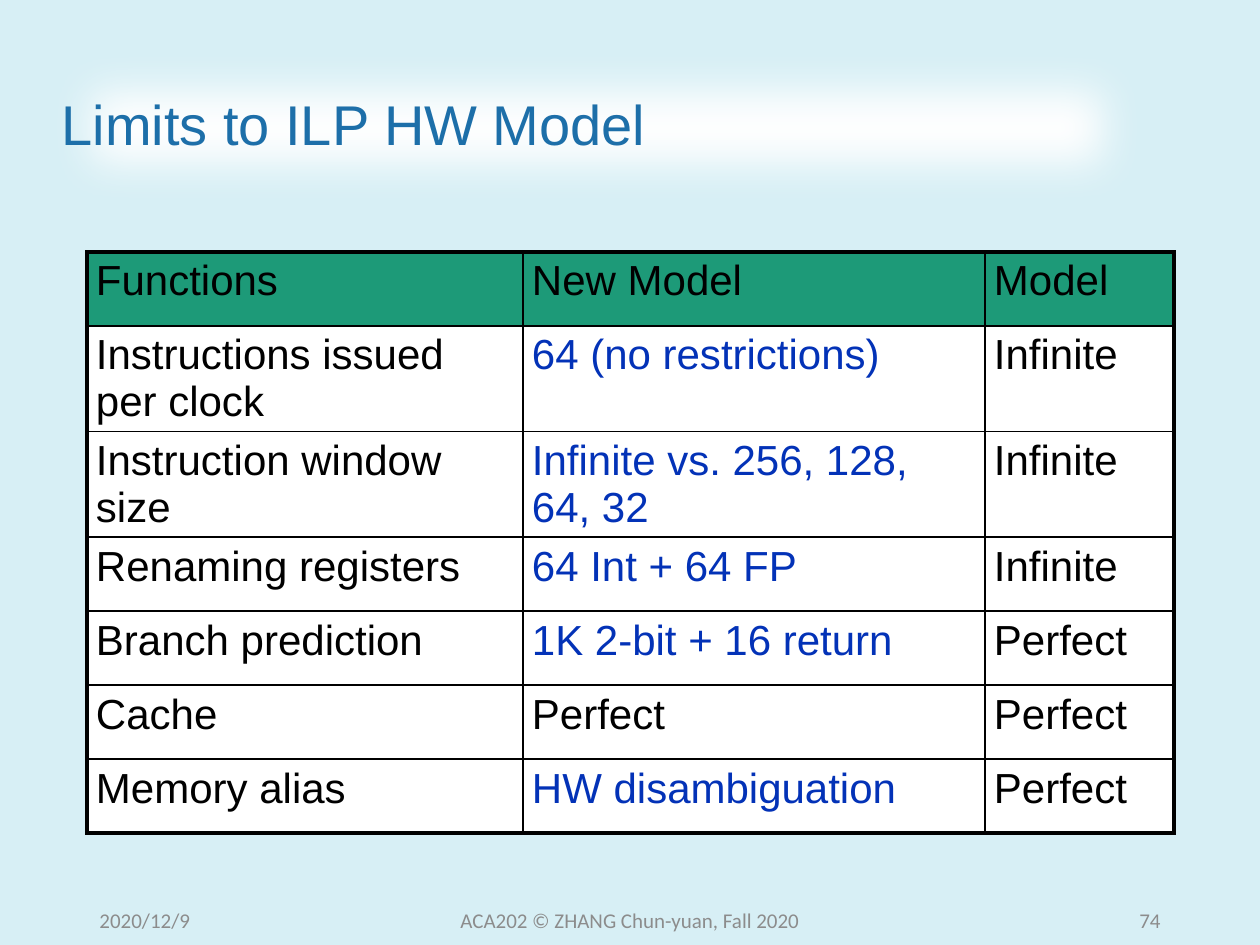
from typing import NamedTuple

from lxml import etree
from pptx import Presentation
from pptx.dml.color import RGBColor
from pptx.enum.text import MSO_ANCHOR, PP_ALIGN
from pptx.oxml.ns import qn
from pptx.util import Emu, Pt

LEFT, CENTER, RIGHT = PP_ALIGN.LEFT, PP_ALIGN.CENTER, PP_ALIGN.RIGHT
MIDDLE = MSO_ANCHOR.MIDDLE

EMU_PER_PX = 914400 / 126
BLACK, WHITE, BLUE, GREEN = "000000", "FFFFFF", "0332B7", "1D9A78"
TITLE_BLUE, GRAY, BACKGROUND = "1D6FA9", "8C8C8C", "D7EFF5"
THIN, THICK = 1, 2.25


class Footer(NamedTuple):
    text: str
    left: int
    width: int
    align: PP_ALIGN


class ModelRow(NamedTuple):
    function: str
    new_model: str
    model: str
    height: int = 74
    new_color: str = BLUE
    fill: str = WHITE


ROWS = [
    ModelRow("Functions", "New Model", "Model", new_color=BLACK, fill=GREEN),
    ModelRow("Instructions issued per clock", "64 (no restrictions)", "Infinite", 97),
    ModelRow("Instruction window size", "Infinite vs. 256, 128, 64, 32", "Infinite", 97),
    ModelRow("Renaming registers", "64 Int + 64 FP", "Infinite"),
    ModelRow("Branch prediction", "1K 2-bit + 16 return", "Perfect"),
    ModelRow("Cache", "Perfect", "Perfect", new_color=BLACK),
    ModelRow("Memory alias", "HW disambiguation", "Perfect"),
]
COLUMN_WIDTHS = [436, 462, 189]

FOOTERS = [
    Footer("2020/12/9", 87, 284, LEFT),
    Footer("ACA202 © ZHANG Chun-yuan, Fall 2020", 417, 426, CENTER),
    Footer("74", 889, 284, RIGHT),
]


def px(length: int) -> Emu:
    return Emu(round(length * EMU_PER_PX))


def rgb(color: str) -> RGBColor:
    return RGBColor.from_string(color)


def paint(fill, color: str) -> None:
    fill.solid()
    fill.fore_color.rgb = rgb(color)


def add_run(paragraph, text: str, size: int, color: str, font: str = "Arial") -> None:
    run = paragraph.add_run()
    run.text = text
    run.font.size = Pt(size)
    run.font.name = font
    run.font.color.rgb = rgb(color)


def add_border(cell, side: str, width: float) -> None:
    line = etree.SubElement(cell._tc.get_or_add_tcPr(), qn(f"a:ln{side}"), w=str(Pt(width)))
    solid = etree.SubElement(line, qn("a:solidFill"))
    etree.SubElement(solid, qn("a:srgbClr"), val=BLACK)


def format_title(title) -> None:
    title.left, title.top, title.width, title.height = px(49), px(50), px(1095), px(155)
    paint(title.fill, WHITE)
    # Soft edges fade the white panel into the background
    effects = etree.SubElement(title._element.spPr, qn("a:effectLst"))
    etree.SubElement(effects, qn("a:softEdge"), rad=str(Pt(25)))
    title.text_frame.vertical_anchor = MIDDLE
    paragraph = title.text_frame.paragraphs[0]
    paragraph.alignment = LEFT
    paragraph.line_spacing = 0.9
    add_run(paragraph, "Limits to ILP HW Model", 32, TITLE_BLUE)


def add_model_table(slide) -> None:
    last_row, last_column = len(ROWS) - 1, len(COLUMN_WIDTHS) - 1
    table = slide.shapes.add_table(
        len(ROWS), len(COLUMN_WIDTHS), px(87), px(252),
        px(sum(COLUMN_WIDTHS)), px(sum(row.height for row in ROWS))).table
    table.horz_banding = False
    table.first_row = False
    for column, width in zip(table.columns, COLUMN_WIDTHS):
        column.width = px(width)
    for r, row in enumerate(ROWS):
        table.rows[r].height = px(row.height)
        entries = [(row.function, BLACK), (row.new_model, row.new_color), (row.model, BLACK)]
        for c, (text, color) in enumerate(entries):
            cell = table.cell(r, c)
            cell.margin_left = cell.margin_right = px(9)
            cell.margin_top = cell.margin_bottom = px(6)
            # Thick lines run around the outside of the table only
            outer = {"L": c == 0, "R": c == last_column, "T": r == 0, "B": r == last_row}
            for side, is_outer in outer.items():
                add_border(cell, side, THICK if is_outer else THIN)
            paint(cell.fill, row.fill)
            add_run(cell.text_frame.paragraphs[0], text, 24, color)


def add_footer(slide, footer: Footer) -> None:
    frame = slide.shapes.add_textbox(
        px(footer.left), px(895), px(footer.width), px(50)).text_frame
    frame.word_wrap = True
    frame.vertical_anchor = MIDDLE
    paragraph = frame.paragraphs[0]
    paragraph.alignment = footer.align
    add_run(paragraph, footer.text, 12, GRAY, "Calibri")


def main() -> None:
    deck = Presentation()
    deck.slide_width, deck.slide_height = px(1260), px(945)
    slide = deck.slides.add_slide(deck.slide_layouts.get_by_name("Title Only"))
    paint(slide.background.fill, BACKGROUND)

    format_title(slide.shapes.title)
    add_model_table(slide)
    for footer in FOOTERS:
        add_footer(slide, footer)

    deck.save("out.pptx")


if __name__ == "__main__":
    main()
